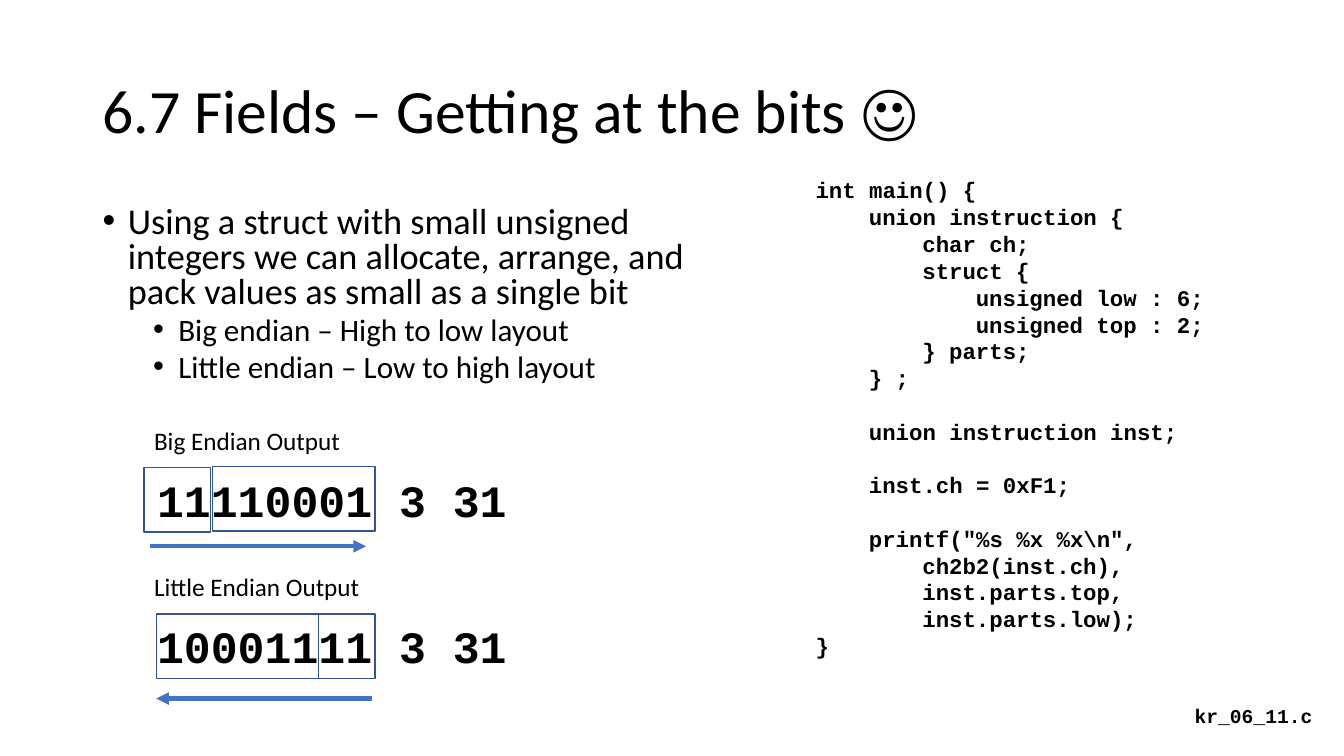
from lxml import etree
from pptx import Presentation
from pptx.dml.color import RGBColor
from pptx.enum.shapes import MSO_CONNECTOR, MSO_SHAPE
from pptx.enum.text import MSO_ANCHOR
from pptx.oxml.ns import qn
from pptx.util import Pt

RECTANGLE, STRAIGHT = MSO_SHAPE.RECTANGLE, MSO_CONNECTOR.STRAIGHT
TOP, MIDDLE = MSO_ANCHOR.TOP, MSO_ANCHOR.MIDDLE
PX = 9144  # EMU per px, 100 px to the inch
COLORS = {"text": "000000", "field": "325491", "arrow": "4472C4"}
SANS, MONO = "Calibri", "Courier New"

TITLE = "6.7 Fields – Getting at the bits ☺"
BULLETS = [  # level, text
    (0, "Using a struct with small unsigned integers we can allocate, arrange, "
        "and pack values as small as a single bit"),
    (1, "Big endian – High to low layout"),
    (1, "Little endian – Low to high layout"),
]
BULLET_STYLES = [  # size, space before, left margin by level
    (25.9, 10, 25),
    (22.2, 5, 75),
]
CODE = [  # blocks of (indent level, line)
    [(0, "int main() {"), (1, "union instruction {"), (2, "char ch;"),
     (2, "struct {"), (3, "unsigned low : 6;"), (3, "unsigned top : 2;"),
     (2, "} parts;"), (1, "} ;")],
    [(1, "union instruction inst;")],
    [(1, "inst.ch = 0xF1;")],
    [(1, 'printf("%s %x %x\\n",'), (2, "ch2b2(inst.ch),"),
     (2, "inst.parts.top,"), (2, "inst.parts.low);"), (0, "}")],
]
CODE_SIZE, CODE_TAB, CODE_GAP = 16, 53, 19
FILE_NAME = "kr_06_11.c"
OUTPUTS = [
    {"label": "Big Endian Output", "label_at": (143, 417, 207, 40),
     "bits": "11110001 3 31", "top": 464,
     "fields": [(143, 464, 66, 64), (211, 463, 161, 64)],
     "arrow": (149, 542, 363, 542)},
    {"label": "Little Endian Output", "label_at": (143, 562, 227, 40),
     "bits": "10001111 3 31", "top": 609,
     "fields": [(316, 609, 56, 64), (155, 609, 161, 64)],
     "arrow": (369, 693, 155, 693)},
]


def emu(lengths):
    return [length * PX for length in lengths]


def add_text(page, at, lines, anchor=TOP, wrap=True):
    """Add a text box; each line is (text, font formats, paragraph formats, left margin)."""
    frame = page.shapes.add_textbox(*emu(at)).text_frame
    frame.word_wrap = wrap
    frame.vertical_anchor = anchor
    paras = []
    for index, (text, font, layout, margin) in enumerate(lines):
        para = frame.add_paragraph() if index else frame.paragraphs[0]
        for name, value in layout.items():
            setattr(para, name, value)
        if margin:
            para._p.get_or_add_pPr().set("marL", str(margin * PX))
        span = para.add_run()
        span.text = text
        for name, value in font.items():
            setattr(span.font, name, value)
        span.font.color.rgb = RGBColor.from_string(COLORS["text"])
        paras.append(para)
    return paras


def font_of(name, size, bold=False):
    return {"name": name, "size": Pt(size), "bold": bold}


def add_bullet(para):
    properties = para._p.get_or_add_pPr()
    properties.set("indent", str(-25 * PX))
    etree.SubElement(properties, qn("a:buFont")).set("typeface", "Arial")
    etree.SubElement(properties, qn("a:buChar")).set("char", "•")


def add_field(page, at):
    box = page.shapes.add_shape(RECTANGLE, *emu(at))
    box.shadow.inherit = False
    box.fill.background()
    box.line.color.rgb = RGBColor.from_string(COLORS["field"])
    box.line.width = Pt(1)


def add_arrow(page, ends):
    arrow = page.shapes.add_connector(STRAIGHT, *emu(ends))
    arrow.line.color.rgb = RGBColor.from_string(COLORS["arrow"])
    arrow.line.width = Pt(3)
    etree.SubElement(arrow.line._get_or_add_ln(), qn("a:tailEnd")).set("type", "triangle")
    etree.SubElement(arrow._element.spPr, qn("a:effectLst"))


def bullet_lines():
    for level, text in BULLETS:
        size, space, margin = BULLET_STYLES[level]
        layout = {"level": level, "line_spacing": 0.8, "space_before": Pt(space)}
        yield text, font_of(SANS, size), layout, margin


def code_lines():
    for block_index, block in enumerate(CODE):
        for line_index, (level, text) in enumerate(block):
            starts_block = block_index and not line_index
            layout = {"space_before": Pt(CODE_GAP)} if starts_block else {}
            yield text, font_of(MONO, CODE_SIZE, True), layout, level * CODE_TAB


def main():
    deck = Presentation()
    deck.slide_width, deck.slide_height = emu((1333, 750))
    page = deck.slides.add_slide(deck.slide_layouts[6])

    add_text(page, (92, 40, 1150, 145),
             [(TITLE, font_of(SANS, 44), {"line_spacing": 0.9}, 0)], MIDDLE)
    for para in add_text(page, (92, 200, 651, 203), bullet_lines()):
        add_bullet(para)
    add_text(page, (799, 170, 412, 495), code_lines())
    add_text(page, (1175, 693, 151, 34), [(FILE_NAME, font_of(MONO, 14, True), {}, 0)])

    for output in OUTPUTS:
        add_text(page, (146, output["top"], 483, 64),
                 [(output["bits"], font_of(MONO, 32, True), {}, 0)])
        for at in output["fields"]:
            add_field(page, at)
        add_text(page, output["label_at"],
                 [(output["label"], font_of(SANS, 18), {}, 0)], wrap=False)
        add_arrow(page, output["arrow"])

    deck.save("out.pptx")


if __name__ == "__main__":
    main()
